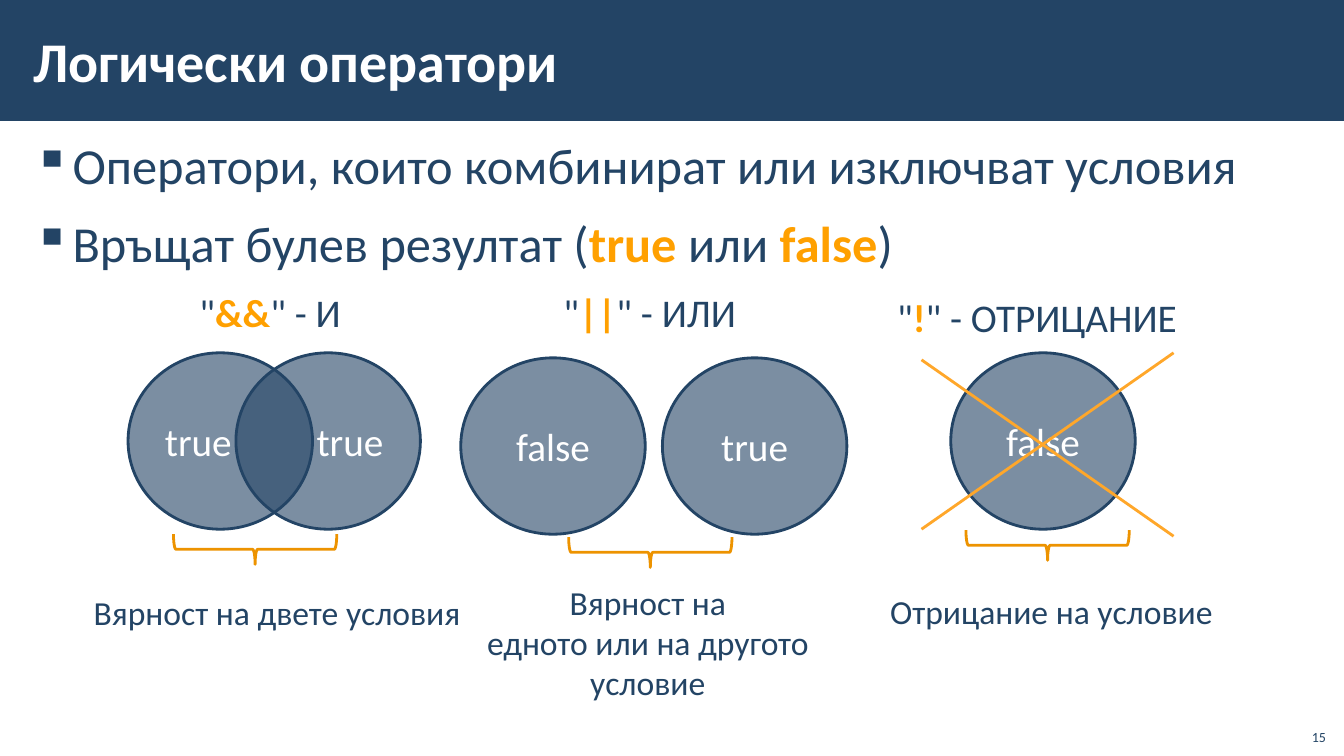
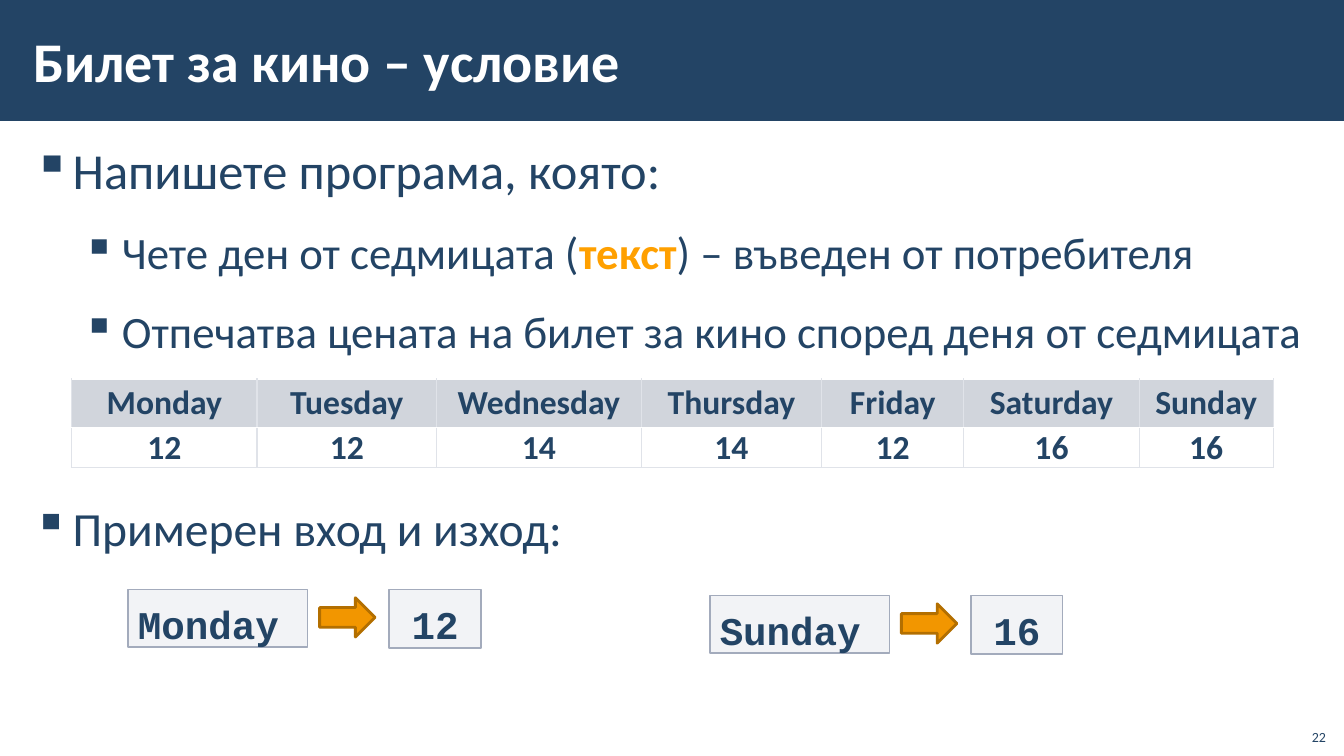
"""Build two lecture slides: logical operators and a cinema ticket task."""
from dataclasses import dataclass

from lxml.etree import SubElement
from pptx import Presentation
from pptx.dml.color import RGBColor
from pptx.enum.shapes import MSO_CONNECTOR, MSO_SHAPE
from pptx.enum.text import MSO_ANCHOR, MSO_AUTO_SIZE, PP_ALIGN
from pptx.oxml.ns import qn
from pptx.util import Emu, Pt

PX = 9144
NAVY, ORANGE, WHITE = "234465", "FFA000", "FFFFFF"
BRACE, CROSS = "ED9300", "FFA72A"
ARROW, ARROW_EDGE = "F29600", "B36F00"
CODE_FILL, CODE_EDGE = "C2C7D2", "A3ABBC"
HEADER_FILL, GRID = "67748E", "E0E3E9"
BODY_FONT, CODE_FONT = "Calibri", "Courier New"
CIRCLE_WIDTH, CIRCLE_HEIGHT = 183, 175
BRACE_DEPTH, BRACE_SPAN = 30, 162


@dataclass(frozen=True)
class Box:
    """A rectangle in px."""
    left: int
    top: int
    width: int
    height: int

    def emu(self) -> tuple:
        """Give the four lengths in EMU."""
        return tuple(Emu(n * PX) for n in (self.left, self.top, self.width, self.height))


@dataclass(frozen=True)
class Style:
    """The look of a text, with marked spans in bold orange."""
    size: int
    color: str = NAVY
    bold: bool = False
    font: str = BODY_FONT
    align: PP_ALIGN = PP_ALIGN.LEFT


@dataclass(frozen=True)
class Bullet:
    """One bulleted paragraph; asterisks mark the highlighted words."""
    text: str
    size: int
    level: int = 0
    before: int = 0
    after: int = 0


@dataclass(frozen=True)
class Label:
    """An unwrapped text and its place."""
    text: str
    box: Box
    style: Style


@dataclass(frozen=True)
class Circle:
    """A labelled truth circle."""
    text: str
    left: int
    top: int
    align: PP_ALIGN = PP_ALIGN.CENTER


@dataclass(frozen=True)
class Example:
    """A sample input with its output."""
    entry: str
    result: str
    left: int
    top: int


BULLET_INDENT = 39
LEVEL_MARGINS = (39, 88)
TITLE_STYLE = Style(40, WHITE, True)
OPERATOR, CAPTION = Style(28), Style(24)
CAPTION_CENTERED = Style(24, align=PP_ALIGN.CENTER)

OPERATOR_BULLETS = (
    Bullet("Оператори, които комбинират или изключват условия", 36),
    Bullet("Връщат булев резултат (*true* или *false*)", 36, before=6),
)
CIRCLES = (
    Circle("true", 127, 350, PP_ALIGN.LEFT),
    Circle("true", 234, 350, PP_ALIGN.RIGHT),
    Circle("false", 457, 355),
    Circle("true", 657, 355),
    Circle("false", 943, 350),
)
LABELS = (
    Label('"*&&*" - И', Box(188, 281, 162, 57), OPERATOR),
    Label('"*||*" - ИЛИ', Box(549, 281, 192, 57), OPERATOR),
    Label('"*!*" - ОТРИЦАНИЕ', Box(880, 286, 310, 57), OPERATOR),
    Label("Вярност на двете условия", Box(83, 582, 387, 50), CAPTION),
    Label("Вярност на\nедното или на другото\nусловие", Box(468, 572, 349, 131), CAPTION_CENTERED),
    Label("Отрицание на условие", Box(873, 581, 343, 50), CAPTION),
)
BRACES = ((172, 530), (564, 533), (958, 526))
CROSS_LINES = ((1164, 350, 914, 525), (1164, 532, 914, 357))

TICKET_BULLETS = (
    Bullet("Напишете програма, която:", 36, after=6),
    Bullet("Чете ден от седмицата (*текст*) – въведен от потребителя", 32, 1, 10, 6),
    Bullet("Отпечатва цената на билет за кино според деня от седмицата", 32, 1, 10, 6),
    Bullet("Примерен вход и изход:", 34, before=93, after=6),
)
PRICES = (
    ("Monday", "12", 184), ("Tuesday", "12", 178), ("Wednesday", "14", 203),
    ("Thursday", "14", 179), ("Friday", "12", 141), ("Saturday", "16", 174),
    ("Sunday", "16", 133),
)
ROW_HEIGHTS = (48, 40)
EXAMPLES = (Example("Monday", "12", 127, 585), Example("Sunday", "16", 704, 591))


def rgb(color: str) -> RGBColor:
    """Turn a hex string into a colour."""
    return RGBColor.from_string(color)


def paint(fill, color: str, opacity: int = 100) -> None:
    """Fill with a solid colour of the given opacity in percent."""
    fill.solid()
    fill.fore_color.rgb = rgb(color)
    if opacity < 100:
        solid = fill._xPr.find(qn("a:solidFill"))
        SubElement(solid[0], qn("a:alpha"), val=str(opacity * 1000))


def write_spans(para, text: str, style: Style) -> None:
    """Write a paragraph, highlighting what stands between asterisks."""
    para.alignment = style.align
    for index, part in enumerate(text.split("*")):
        if not part:
            continue
        marked = index % 2 == 1
        span = para.add_run()
        span.text = part
        span.font.name = style.font
        span.font.size = Pt(style.size)
        span.font.bold = marked or style.bold
        span.font.color.rgb = rgb(ORANGE if marked else style.color)


def write_lines(frame, text: str, style: Style) -> None:
    """Write each line of the text as its own paragraph."""
    for index, line in enumerate(text.split("\n")):
        para = frame.add_paragraph() if index else frame.paragraphs[0]
        write_spans(para, line, style)


def set_wide_margins(frame) -> None:
    """Give a frame the margins of titles and bodies."""
    frame.margin_left = frame.margin_right = Emu(12 * PX)
    frame.margin_top = frame.margin_bottom = Emu(4 * PX)


def add_figure(shapes, kind: MSO_SHAPE, box: Box, fill: str = "", edge: str = "",
               opacity: int = 100, edge_width: int = 2):
    """Add a preset shape without shadow."""
    shape = shapes.add_shape(kind, *box.emu())
    shape.shadow.inherit = False
    if fill:
        paint(shape.fill, fill, opacity)
    else:
        shape.fill.background()
    if edge:
        shape.line.color.rgb = rgb(edge)
        shape.line.width = Pt(edge_width)
    else:
        shape.line.fill.background()
    return shape


def add_band(page) -> None:
    """Put the title band on the layout that the pages share."""
    band = add_figure(page.shapes, MSO_SHAPE.RECTANGLE, Box(0, 0, 1334, 120), NAVY)
    page.slide_layout.shapes.element.insert(2, band.element)


def add_page(deck, title: str, number: int):
    """Add a page with its title and number."""
    page = deck.slides.add_slide(deck.slide_layouts[5])
    heading = page.shapes.title
    heading.left, heading.top, heading.width, heading.height = Box(21, 11, 1063, 97).emu()
    frame = heading.text_frame
    frame.auto_size = MSO_AUTO_SIZE.NONE
    frame.vertical_anchor = MSO_ANCHOR.MIDDLE
    set_wide_margins(frame)
    write_lines(frame, title, TITLE_STYLE)
    footer = page.shapes.add_textbox(*Box(1285, 712, 40, 32).emu()).text_frame
    footer.word_wrap = True
    footer.vertical_anchor = MSO_ANCHOR.BOTTOM
    write_lines(footer, str(number), Style(10, align=PP_ALIGN.RIGHT))
    return page


def add_bullets(page, box: Box, bullets: tuple, spacing: float) -> None:
    """Add the bulleted body text."""
    frame = page.shapes.add_textbox(*box.emu()).text_frame
    frame.word_wrap = True
    set_wide_margins(frame)
    for index, bullet in enumerate(bullets):
        para = frame.add_paragraph() if index else frame.paragraphs[0]
        properties = para._p.get_or_add_pPr()
        properties.set("marL", str(LEVEL_MARGINS[bullet.level] * PX))
        properties.set("indent", str(-BULLET_INDENT * PX))
        SubElement(properties, qn("a:buChar"), char="▪")
        para.level = bullet.level
        para.line_spacing = spacing
        para.space_before = Pt(bullet.before)
        para.space_after = Pt(bullet.after)
        write_spans(para, bullet.text, Style(bullet.size))


def add_label(page, label: Label) -> None:
    """Add an unwrapped label."""
    frame = page.shapes.add_textbox(*label.box.emu()).text_frame
    frame.word_wrap = False
    frame.auto_size = MSO_AUTO_SIZE.SHAPE_TO_FIT_TEXT
    write_lines(frame, label.text, label.style)


def add_circle(page, circle: Circle) -> None:
    """Add a translucent truth circle."""
    box = Box(circle.left, circle.top, CIRCLE_WIDTH, CIRCLE_HEIGHT)
    shape = add_figure(page.shapes, MSO_SHAPE.OVAL, box, NAVY, NAVY, 60)
    shape.text_frame.vertical_anchor = MSO_ANCHOR.MIDDLE
    write_lines(shape.text_frame, circle.text, Style(28, WHITE, align=circle.align))


def add_brace(page, left: int, top: int) -> None:
    """Add a brace that points down, placed by its visible corner."""
    shift = (BRACE_SPAN - BRACE_DEPTH) // 2
    box = Box(left + shift, top - shift, BRACE_DEPTH, BRACE_SPAN)
    add_figure(page.shapes, MSO_SHAPE.RIGHT_BRACE, box, edge=BRACE).rotation = 90


def add_line(page, ends: tuple) -> None:
    """Add one stroke of the cross."""
    line = page.shapes.add_connector(MSO_CONNECTOR.STRAIGHT, *(Emu(n * PX) for n in ends))
    line.line.color.rgb = rgb(CROSS)
    line.line.width = Pt(2)
    SubElement(line.element.spPr, qn("a:effectLst"))


def format_cell(cell, text: str, header: bool) -> None:
    """Write a price cell and draw its borders and fill."""
    cell.margin_left = cell.margin_right = Emu(7 * PX)
    cell.margin_top = cell.margin_bottom = 0
    cell.vertical_anchor = MSO_ANCHOR.MIDDLE
    write_lines(cell.text_frame, text, Style(24, bold=True, align=PP_ALIGN.CENTER))
    properties = cell._tc.get_or_add_tcPr()
    top, bottom = (WHITE, WHITE) if header else (WHITE, GRID)
    for side, color in (("lnL", GRID), ("lnR", GRID), ("lnT", top), ("lnB", bottom)):
        border = SubElement(properties, qn(f"a:{side}"), w=str(Pt(1)))
        SubElement(SubElement(border, qn("a:solidFill")), qn("a:srgbClr"), val=color)
    if header:
        paint(cell.fill, HEADER_FILL, 30)
    else:
        cell.fill.background()


def add_prices(page) -> None:
    """Add the table of ticket prices by day."""
    box = Box(71, 376, sum(width for _, _, width in PRICES), sum(ROW_HEIGHTS))
    table = page.shapes.add_table(len(ROW_HEIGHTS), len(PRICES), *box.emu()).table
    table.first_row = table.horz_banding = False
    for row, height in zip(table.rows, ROW_HEIGHTS):
        row.height = Emu(height * PX)
    for column, (day, price, width) in enumerate(PRICES):
        table.columns[column].width = Emu(width * PX)
        format_cell(table.cell(0, column), day, True)
        format_cell(table.cell(1, column), price, False)


def add_example(page, example: Example) -> None:
    """Add a group of input box, arrow and output box."""
    shapes = page.shapes.add_group_shape().shapes
    left, top = example.left, example.top
    for text, box, align in (
        (example.entry, Box(left, top, 178, 57), PP_ALIGN.LEFT),
        (example.result, Box(left + 259, top, 91, 58), PP_ALIGN.CENTER),
    ):
        shape = add_figure(shapes, MSO_SHAPE.RECTANGLE, box, CODE_FILL, CODE_EDGE, 20, 1)
        frame = shape.text_frame
        frame.vertical_anchor = MSO_ANCHOR.TOP
        frame.margin_top, frame.margin_bottom = Emu(11 * PX), 0
        write_lines(frame, text, Style(28, bold=True, font=CODE_FONT, align=align))
    add_figure(shapes, MSO_SHAPE.RIGHT_ARROW, Box(left + 190, top + 8, 55, 39), ARROW, ARROW_EDGE)


def main() -> None:
    """Build and save the deck."""
    deck = Presentation()
    deck.slide_width, deck.slide_height = Emu(1333 * PX), Emu(750 * PX)

    page = add_page(deck, "Логически оператори", 15)
    add_band(page)
    add_bullets(page, Box(21, 120, 1291, 609), OPERATOR_BULLETS, 1.15)
    for circle in CIRCLES:
        add_circle(page, circle)
    for label in LABELS:
        add_label(page, label)
    for left, top in BRACES:
        add_brace(page, left, top)
    for ends in CROSS_LINES:
        add_line(page, ends)

    page = add_page(deck, "Билет за кино – условие", 22)
    add_bullets(page, Box(21, 131, 1292, 605), TICKET_BULLETS, 1.05)
    add_prices(page)
    for example in EXAMPLES:
        add_example(page, example)
    deck.save("out.pptx")


if __name__ == "__main__":
    main()
